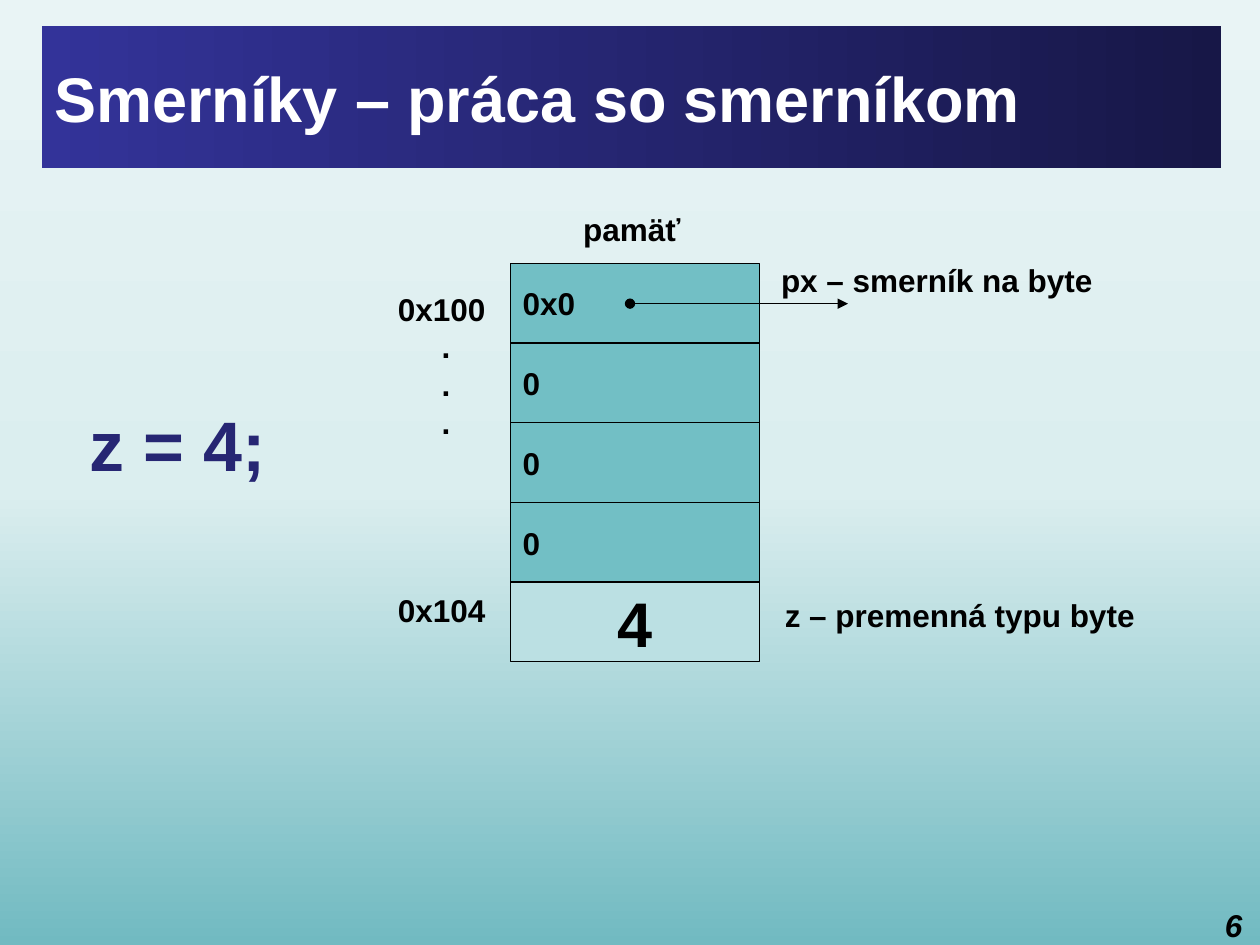
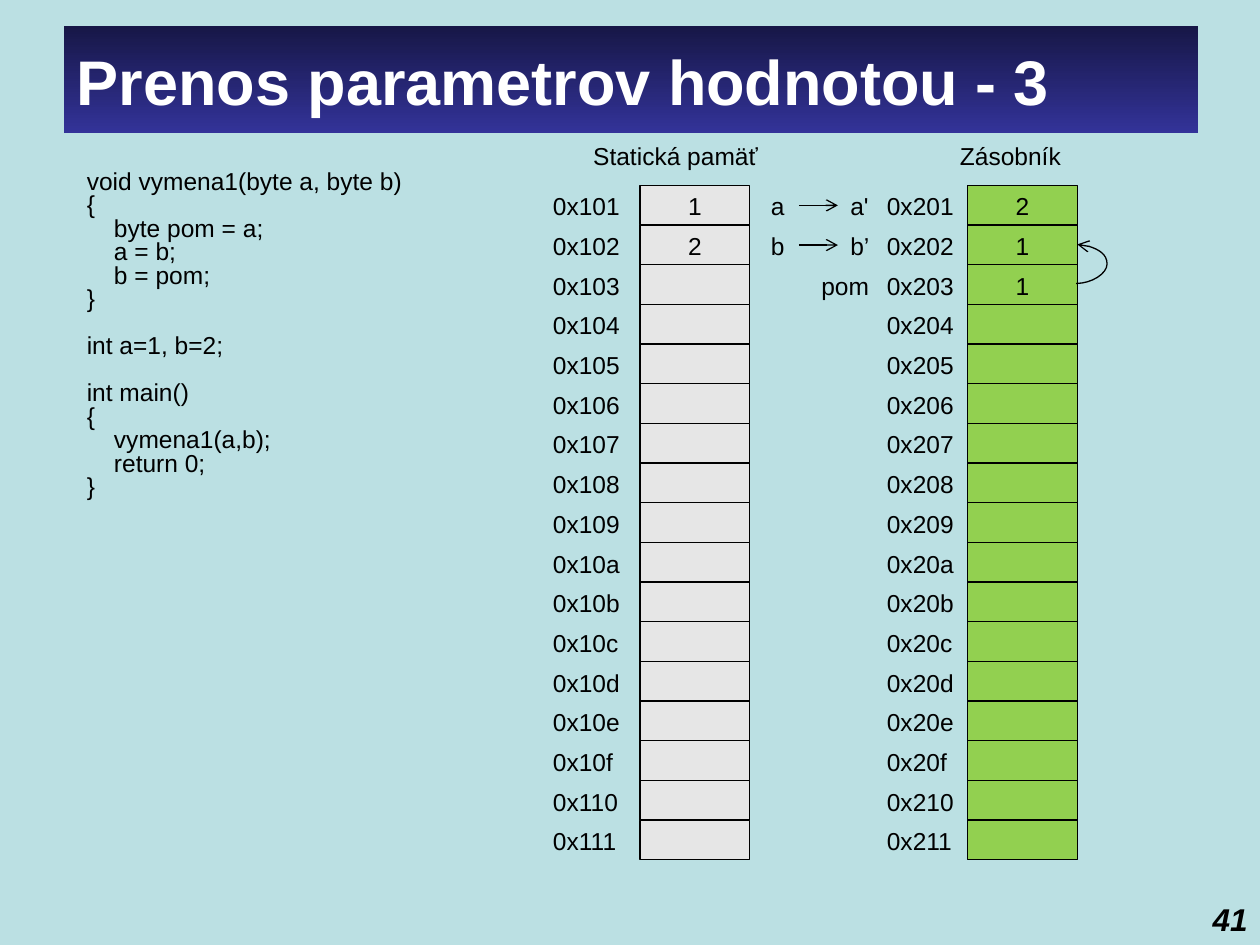
from lxml.etree import SubElement
from pptx import Presentation
from pptx.dml.color import RGBColor
from pptx.enum.shapes import MSO_CONNECTOR, MSO_SHAPE
from pptx.enum.text import MSO_ANCHOR, MSO_AUTO_SIZE, PP_ALIGN
from pptx.oxml.ns import qn
from pptx.util import Inches, Pt

# Shared style: a grid of 100 columns by 75 rows, each a tenth of an inch
UNIT = Inches(0.1)
FONT = "Arial"
BLACK, WHITE = "000000", "FFFFFF"
NAVY, BLUE, INK = "171747", "333399", "262673"
TEAL, PALE, GREY, GREEN = "72BFC5", "BBE0E3", "E6E6E6", "92D050"
SPACE = 0.278  # width of a blank, as a share of the type size
ALIGN = {"l": PP_ALIGN.LEFT, "c": PP_ALIGN.CENTER, "r": PP_ALIGN.RIGHT}


def grid(*vals):
    return [round(v * UNIT) for v in vals]


def rgb(text):
    return RGBColor.from_string(text)


def blend(fill, root, stops, angle):
    """Gradient fill with any number of stops; angle runs anticlockwise."""
    fill.gradient()
    fill.gradient_angle = angle
    items = root.xpath(".//a:gsLst")[0]
    for old in list(items):
        items.remove(old)
    for pos, hue in stops:
        stop = SubElement(items, qn("a:gs"), pos=str(pos * 1000))
        SubElement(stop, qn("a:srgbClr"), val=hue)


def write(frame, text, size=14, hue=BLACK, bold=False, slant=False,
          align="l", mid=False, lead=None, skip=0):
    """Leading blanks become indents, empty lines a gap of skip points."""
    frame.word_wrap = True
    frame.auto_size = MSO_AUTO_SIZE.NONE
    frame.vertical_anchor = MSO_ANCHOR.MIDDLE if mid else MSO_ANCHOR.TOP
    gap, para = 0, None
    for line in text.split("\n"):
        body = line.lstrip()
        if not body:
            gap += skip
            continue
        para = frame.add_paragraph() if para else frame.paragraphs[0]
        para.alignment = ALIGN[align]
        para.space_before = Pt(gap)
        if lead:
            para.line_spacing = lead
        deep = len(line) - len(body)
        if deep:
            para._p.get_or_add_pPr().set("marL", str(Pt(deep * SPACE * size)))
        run = para.add_run()
        run.text = body
        font = run.font
        font.name, font.size = FONT, Pt(size)
        font.bold, font.italic = bold, slant
        font.color.rgb = rgb(hue)
        gap = 0


class Deck:
    def __init__(self):
        self.file = Presentation()
        self.file.slide_width, self.file.slide_height = grid(100, 75)

    def page(self, back, angle=90):
        self.slide = self.file.slides.add_slide(self.file.slide_layouts[5])
        self.shapes = self.slide.shapes
        fill = self.slide.background.fill
        if isinstance(back, str):
            fill.solid()
            fill.fore_color.rgb = rgb(back)
        else:
            blend(fill, self.slide._element, back, angle)

    def title(self, text, place, hues, angle):
        head = self.shapes.title
        head.left, head.top, head.width, head.height = grid(*place)
        blend(head.fill, head._element, zip((0, 100), hues), angle)
        write(head.text_frame, text, size=36, hue=WHITE, bold=True, mid=True)

    def label(self, text, x, y, w, h=3.4, **form):
        box = self.shapes.add_textbox(*grid(x, y, w, h))
        write(box.text_frame, text, **form)

    def number(self, text, right, top):
        self.label(text, right - 6, top, 6, 4, size=18, bold=True,
                   slant=True, align="r")

    def cell(self, text, x, y, w, h, hue, **form):
        box = self.shapes.add_shape(MSO_SHAPE.RECTANGLE, *grid(x, y, w, h))
        box.shadow.inherit = False
        box.fill.solid()
        box.fill.fore_color.rgb = rgb(hue)
        box.line.color.rgb = rgb(BLACK)
        box.line.width = Pt(0.75)
        if text:
            write(box.text_frame, text, **form)

    def arrow(self, x1, y1, x2, y2, head=None, tail="arrow", bend=None):
        kind = MSO_CONNECTOR.CURVE if bend else MSO_CONNECTOR.STRAIGHT
        link = self.shapes.add_connector(kind, *grid(x1, y1, x2, y2))
        link.line.color.rgb = rgb(BLACK)
        link.line.width = Pt(0.75)
        ln = link.line._get_or_add_ln()
        for tag, end in (("a:headEnd", head), ("a:tailEnd", tail)):
            if end:
                SubElement(ln, qn(tag), type=end)
        props = link._element.spPr
        SubElement(props, qn("a:effectLst"))
        if bend:
            SubElement(props.xpath(".//a:avLst")[0], qn("a:gd"),
                       name="adj1", fmla=f"val {bend}")

    def stack(self, name, left, base, x, hue, vals):
        """Column of memory cells under a heading, with hex addresses."""
        self.label(name, left, 10.7, 16)
        for i in range(17):
            y = TOP + i * STEP
            text = vals[i] if i < len(vals) else ""
            self.cell(text, x, y, 8.7, STEP, hue, align="c")
            self.label(f"0x{base + i + 1:x}", x - 7.9 + (x > 60) * 0.5,
                       y, 7.9)


TOP, STEP = 14.7, 3.15
deck = Deck()

# Slide 1: working with a pointer
deck.page([(0, "71BAC1"), (48, "DBEEEF"), (100, "E9F4F5")])
deck.title("Smerníky – práca so smerníkom", (3.3, 2.1, 93.6, 11.2),
           (BLUE, NAVY), 0)
deck.number("6", 99.6, 71.4)
bold = dict(size=18, bold=True)

# Memory cells
for i, text in enumerate(["0x0", "0", "0", "0"]):
    deck.cell(text, 40.5, 20.9 + i * 6.33, 19.8, 6.33, TEAL, mid=True, **bold)
deck.cell("4", 40.5, 46.2, 19.8, 6.33, PALE, size=36, bold=True,
          align="c", mid=True)
deck.arrow(50, 24.1, 67.3, 24.1, head="oval", tail="triangle")

# Captions and addresses
deck.label("px – smerník na byte", 61, 20.2, 27.5, 4, **bold)
deck.label("z – premenná typu byte", 61.3, 46.8, 30.5, 4, **bold)
deck.label("pamäť", 45.3, 16.2, 10.5, 4, **bold)
deck.label("z = 4;", 6.1, 31.4, 17, 7.7, size=40, hue=INK, bold=True)
deck.label("0x100\n     .\n     .\n     .\n\n\n\n\n0x104",
           30.6, 22.5, 10.2, 31.3, skip=21.5, **bold)

# Slide 2: passing parameters by value
deck.page(PALE)
deck.title("Prenos parametrov hodnotou - 3", (5.1, 2.1, 90, 8.5),
           (NAVY, BLUE), 270)
deck.number("41", 100, 70.9)

# Code
CODE = """void vymena1(byte a, byte b)
{
    byte pom = a;
    a = b;
    b = pom;
}

int a=1, b=2;

int main()
{
    vymena1(a,b);
    return 0;
}"""
deck.label(CODE, 5.9, 13.1, 33.9, 27.4, lead=0.8, skip=13.4)

# Static memory and stack
deck.stack("Statická pamäť", 46.1, 0x100, 50.8, GREY, "12")
deck.stack("Zásobník", 75.2, 0x200, 76.8, GREEN, "211")

# Arguments copied into parameters
for i, (name, copy) in enumerate([("a", "a'"), ("b", "b’")]):
    y = TOP + i * STEP
    deck.label(name, 60.2, y, 3.1)
    deck.label(copy, 66.5, y, 3.9)
    deck.arrow(63.4, y + 1.6, 66.5, y + 1.6)
deck.label("pom", 64.2, TOP + 2 * STEP, 6.3)
deck.arrow(85.4, 22.5, 85.5, 19.4, bend=2500000)

deck.file.save("out.pptx")
